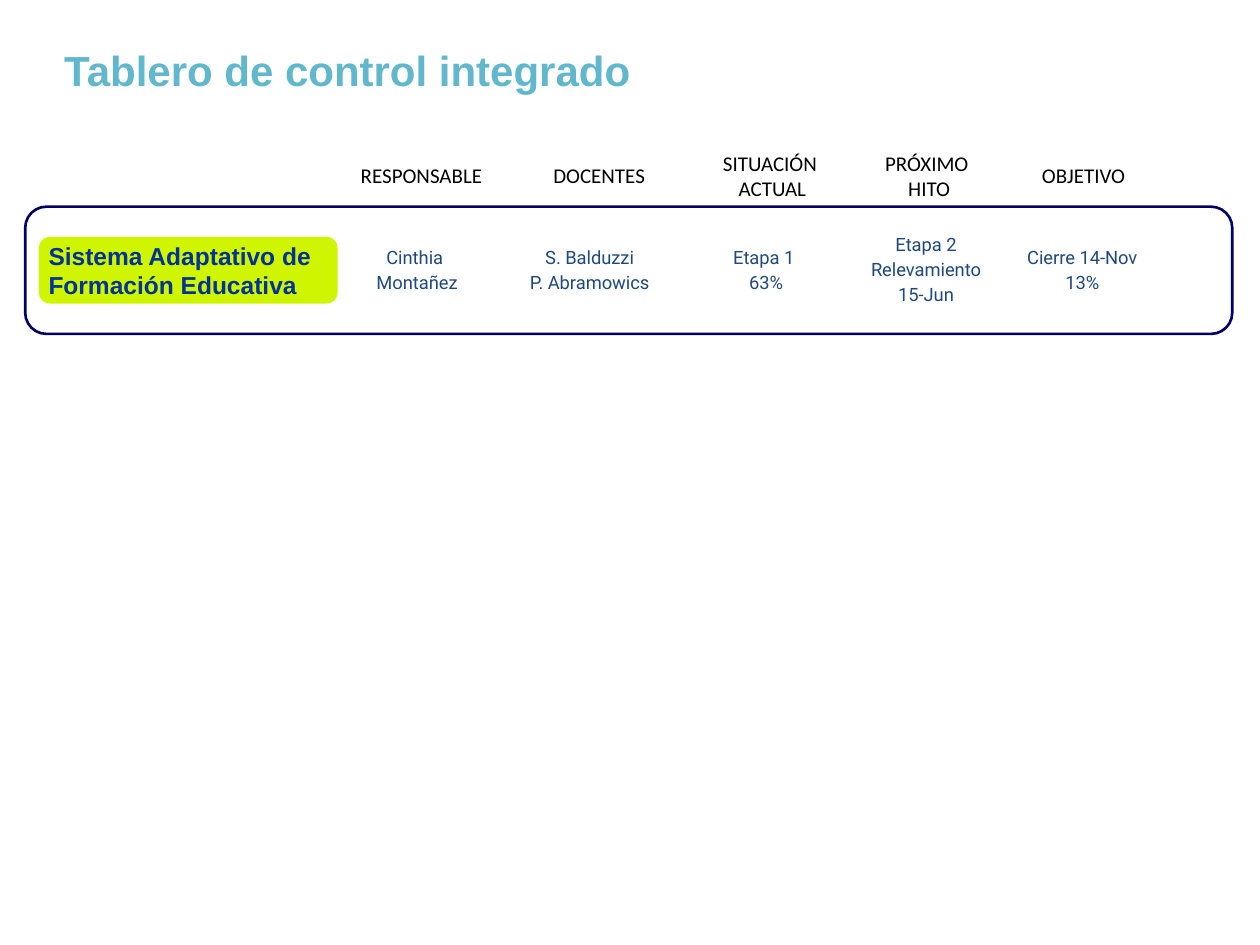
"""Build the integrated control board slide."""
from pptx import Presentation
from pptx.dml.color import RGBColor
from pptx.enum.shapes import MSO_SHAPE
from pptx.enum.text import MSO_ANCHOR, MSO_AUTO_SIZE, PP_ALIGN
from pptx.util import Inches, Pt

ROUNDED = MSO_SHAPE.FLOWCHART_ALTERNATE_PROCESS
MIDDLE = MSO_ANCHOR.MIDDLE
LEFT, CENTER = PP_ALIGN.LEFT, PP_ALIGN.CENTER
NO_FIT = MSO_AUTO_SIZE.NONE

WHITE = RGBColor(0xFF, 0xFF, 0xFF)
BLACK = RGBColor(0x00, 0x00, 0x00)
SKY = RGBColor(0x61, 0xB8, 0xCD)
STEEL = RGBColor(0x1F, 0x49, 0x7D)
NAVY = RGBColor(0x00, 0x00, 0x66)
BLUE = RGBColor(0x00, 0x33, 0x99)
LIME = RGBColor(0xD0, 0xF5, 0x00)

TABLE_LEFT = 2.64
HEADINGS = ["RESPONSABLE", "DOCENTES", "SITUACIÓN \nACTUAL", "PRÓXIMO \nHITO", "OBJETIVO"]
HEADING_WIDTHS = [1.41, 1.41, 1.34, 1.15, 1.3]
STATUS = [
    "Cinthia \nMontañez",
    "S. Balduzzi\nP. Abramowics",
    "Etapa 1 \n63%",
    "Etapa 2\nRelevamiento\n15-Jun",
    "Cierre 14-Nov\n13%",
]
STATUS_WIDTHS = [1.34, 1.4, 1.4, 1.14, 1.34]


def write_text(frame, text, font="Arial", size=12, color=BLACK, bold=False, align=LEFT, before=0):
    frame.word_wrap = True
    for index, line in enumerate(text.split("\n")):
        para = frame.add_paragraph() if index else frame.paragraphs[0]
        para.alignment = align
        para.space_before = Pt(before)
        span = para.add_run()
        span.text = line
        span.font.name = font
        span.font.size = Pt(size)
        span.font.bold = bold
        span.font.color.rgb = color


def set_margins(holder, across, down):
    holder.margin_left = holder.margin_right = Inches(across)
    holder.margin_top = holder.margin_bottom = Inches(down)


class Board:
    def __init__(self, deck):
        self.page = deck.slides.add_slide(deck.slide_layouts[5])
        self.page.background.fill.solid()
        self.page.background.fill.fore_color.rgb = WHITE

    def title(self, text, left, top, width, height):
        box = self.page.shapes.title
        box.left, box.top = Inches(left), Inches(top)
        box.width, box.height = Inches(width), Inches(height)
        frame = box.text_frame
        frame.auto_size = NO_FIT
        frame.vertical_anchor = MIDDLE
        write_text(frame, text, size=24, color=SKY, bold=True)

    def table(self, texts, widths, top, height, margins, **style):
        holder = self.page.shapes.add_table(
            1, len(texts), Inches(TABLE_LEFT), Inches(top), Inches(sum(widths)), Inches(height)
        )
        table = holder.table
        table.first_row = table.horz_banding = False
        for column, cell, text, width in zip(table.columns, table.rows[0].cells, texts, widths):
            column.width = Inches(width)
            cell.fill.solid()
            cell.fill.fore_color.rgb = WHITE
            cell.vertical_anchor = MIDDLE
            set_margins(cell, *margins)
            write_text(cell.text_frame, text, align=CENTER, **style)

    def panel(self, left, top, width, height, fill=None, line=None):
        box = self.page.shapes.add_shape(
            ROUNDED, Inches(left), Inches(top), Inches(width), Inches(height)
        )
        box.shadow.inherit = False
        if fill is None:
            box.fill.background()
        else:
            box.fill.solid()
            box.fill.fore_color.rgb = fill
        if line is None:
            box.line.fill.background()
        else:
            box.line.color.rgb = line
            box.line.width = Pt(1.5)
        return box

    def label(self, text, left, top, width, height):
        frame = self.panel(left, top, width, height, fill=LIME).text_frame
        frame.vertical_anchor = MIDDLE
        set_margins(frame, 0.05, 0.04)
        write_text(frame, text, size=14, color=BLUE, bold=True)


def main():
    deck = Presentation()
    deck.slide_width, deck.slide_height = Inches(10), Inches(7.5)
    board = Board(deck)
    board.title("Tablero de control integrado", 0.41, 0.21, 9, 0.69)
    board.table(STATUS, STATUS_WIDTHS, 1.81, 0.67, (0, 0.04),
                font="Roboto", size=10.5, color=STEEL, before=2.1)
    board.table(HEADINGS, HEADING_WIDTHS, 1.15, 0.5, (0.1, 0.05), font="Calibri")
    board.panel(0.2, 1.64, 9.58, 1.01, line=NAVY)
    board.label("Sistema Adaptativo de Formación Educativa", 0.31, 1.88, 2.37, 0.53)
    deck.save("out.pptx")


if __name__ == "__main__":
    main()
